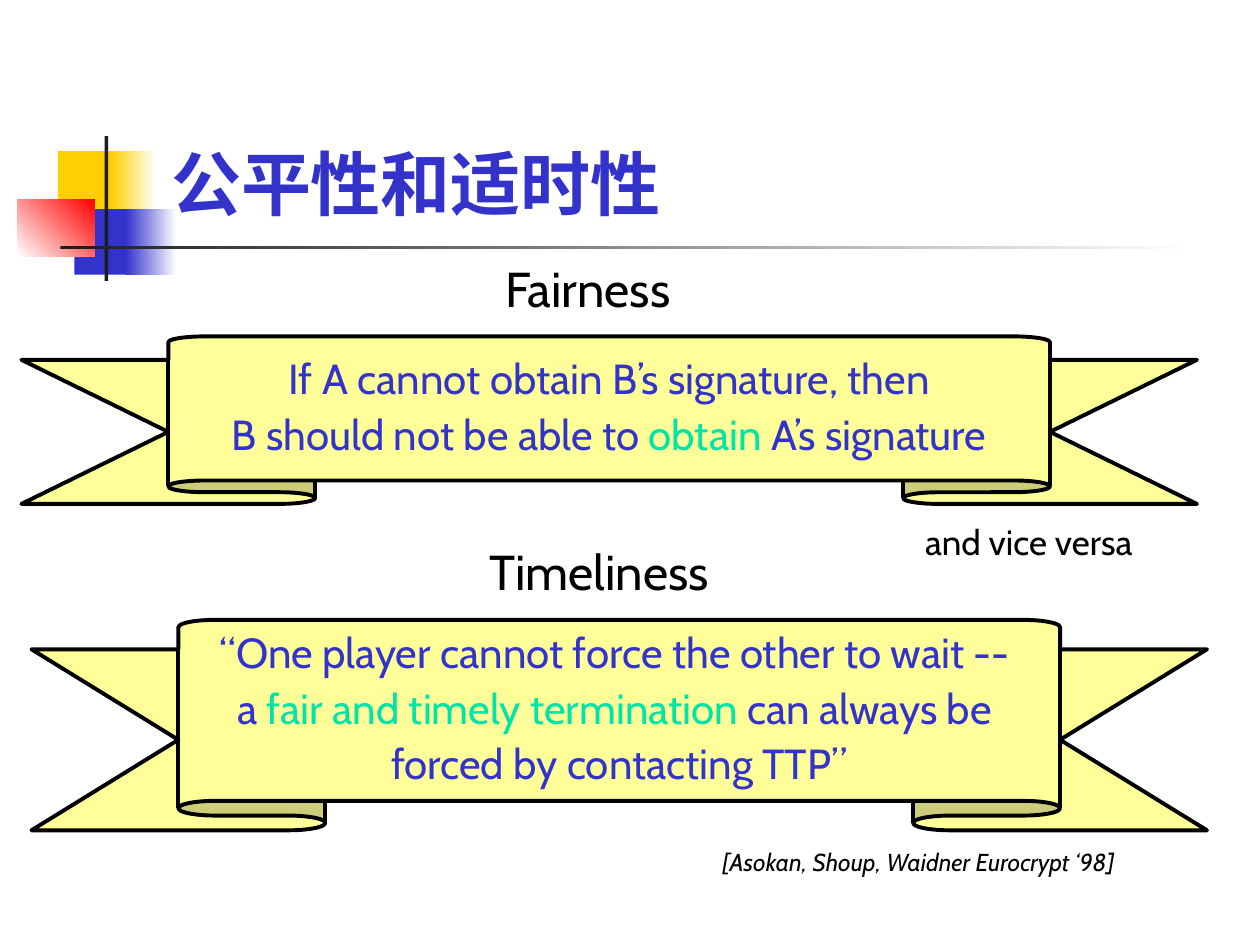
from dataclasses import dataclass

from lxml import etree
from pptx import Presentation
from pptx.dml.color import RGBColor
from pptx.enum.shapes import MSO_SHAPE
from pptx.enum.text import MSO_ANCHOR, PP_ALIGN
from pptx.oxml.ns import qn
from pptx.util import Inches, Pt

RECTANGLE = MSO_SHAPE.RECTANGLE
RIBBON = MSO_SHAPE.UP_RIBBON
CENTER, LEFT = PP_ALIGN.CENTER, PP_ALIGN.LEFT
TOP, MIDDLE, BOTTOM = MSO_ANCHOR.TOP, MSO_ANCHOR.MIDDLE, MSO_ANCHOR.BOTTOM

LATIN_FONT = "Cabin"
CHINESE_FONT = "Noto Sans CJK SC"
COLORS = {
    "yellow": "FFCF01",
    "blue": "3333CC",
    "red": "FF0000",
    "white": "FFFFFF",
    "charcoal": "1C1C1C",
    "black": "000000",
    "ribbon": "FFFF99",
    "highlight": "00E4A8",
}

Line = list[tuple[str, str]]  # (words, colour name) pairs


@dataclass(frozen=True)
class Block:
    """A rectangle of the title ornament; fade_to makes its fill a gradient."""
    left: float
    top: float
    width: float
    height: float
    color: str
    fade_to: str = ""
    angle: float = 0


@dataclass(frozen=True)
class Banner:
    left: float
    top: float
    height: float
    fold: float
    lines: list[Line]


@dataclass(frozen=True)
class Label:
    words: str
    left: float
    top: float
    width: float
    size: float
    space_before: float
    italic: bool = False


BLOCKS = [
    Block(0.46, 1.2, 0.48, 0.52, "yellow"),
    Block(0.88, 1.2, 0.36, 0.52, "yellow", "white"),
    Block(0.59, 1.66, 0.46, 0.52, "blue"),
    Block(1, 1.66, 0.4, 0.52, "blue", "white"),
    Block(0.14, 1.58, 0.61, 0.46, "white", "red", 45),
    Block(0.83, 1.08, 0.03, 1.15, "charcoal"),
    Block(0.48, 1.95, 9, 0.03, "charcoal", "white"),
]
BANNERS = [
    Banner(0.17, 2.67, 1.33, 0.14, [
        [("If A cannot obtain B’s signature, then", "blue")],
        [("B should not be able to ", "blue"), ("obtain", "highlight"),
         (" A’s signature", "blue")],
    ]),
    Banner(0.25, 4.92, 1.67, 0.14, [
        [("“One player cannot force the other to wait -- ", "blue")],
        [("a ", "blue"), ("fair and timely termination", "highlight"),
         (" can always be ", "blue")],
        [("forced by contacting TTP”", "blue")],
    ]),
]
LABELS = [
    Label("and vice versa", 6.33, 4.08, 3.67, 20, 5),
    Label("Fairness", 2.83, 2, 3.67, 28, 7),
    Label("Timeliness", 2.92, 4.25, 3.67, 28, 7),
    Label("[Asokan, Shoup, Waidner Eurocrypt ‘98]", 4.58, 6.67, 5.42, 14, 3.5, True),
]


def rgb(name: str) -> RGBColor:
    return RGBColor.from_string(COLORS[name])


def write_text(shape, lines: list[Line], *, size: float, font: str = LATIN_FONT,
               align=CENTER, anchor=TOP, wrap: bool = True, bold: bool = False,
               italic: bool = False, space_before: float = 0,
               line_spacing: float = 1.0) -> None:
    frame = shape.text_frame
    frame.word_wrap = wrap
    frame.vertical_anchor = anchor
    for index, line in enumerate(lines):
        para = frame.add_paragraph() if index else frame.paragraphs[0]
        para.alignment = align
        para.space_before = Pt(space_before)
        para.line_spacing = line_spacing
        for words, color in line:
            span = para.add_run()
            span.text = words
            span.font.name = font
            span.font.size = Pt(size)
            span.font.bold = bold
            span.font.italic = italic
            span.font.color.rgb = rgb(color)
            east_asian = etree.SubElement(span.font._element, qn("a:ea"))
            east_asian.set("typeface", font)


def draw_block(page, block: Block) -> None:
    shape = page.shapes.add_shape(RECTANGLE, Inches(block.left), Inches(block.top),
                                  Inches(block.width), Inches(block.height))
    shape.shadow.inherit = False
    shape.line.fill.background()
    if block.fade_to:
        shape.fill.gradient()
        shape.fill.gradient_angle = block.angle
        for stop, color in zip(shape.fill.gradient_stops, (block.color, block.fade_to)):
            stop.color.rgb = rgb(color)
    else:
        shape.fill.solid()
        shape.fill.fore_color.rgb = rgb(block.color)


def draw_banner(page, banner: Banner) -> None:
    shape = page.shapes.add_shape(RIBBON, Inches(banner.left), Inches(banner.top),
                                  Inches(9.33), Inches(banner.height))
    shape.adjustments[0] = banner.fold
    shape.adjustments[1] = 0.75
    shape.shadow.inherit = False
    shape.fill.solid()
    shape.fill.fore_color.rgb = rgb("ribbon")
    shape.line.color.rgb = rgb("black")
    shape.line.width = Pt(2.25)
    write_text(shape, banner.lines, size=24, anchor=MIDDLE, wrap=False,
               space_before=6, line_spacing=0.9)


def draw_label(page, label: Label) -> None:
    box = page.shapes.add_textbox(Inches(label.left), Inches(label.top),
                                  Inches(label.width), Inches(0.67))
    write_text(box, [[(label.words, "black")]], size=label.size,
               italic=label.italic, space_before=label.space_before)


def draw_title(page, words: str) -> None:
    box = page.shapes.add_textbox(Inches(1.26), Inches(0.66), Inches(8.52), Inches(1.17))
    write_text(box, [[(words, "blue")]], size=40, font=CHINESE_FONT,
               align=LEFT, anchor=BOTTOM, bold=True)


def main() -> None:
    deck = Presentation()
    deck.slide_width, deck.slide_height = Inches(10), Inches(7.5)
    page = deck.slides.add_slide(deck.slide_layouts[6])
    for block in BLOCKS:
        draw_block(page, block)
    draw_title(page, "公平性和适时性")
    for banner in BANNERS:
        draw_banner(page, banner)
    for label in LABELS:
        draw_label(page, label)
    deck.save("out.pptx")


if __name__ == "__main__":
    main()
